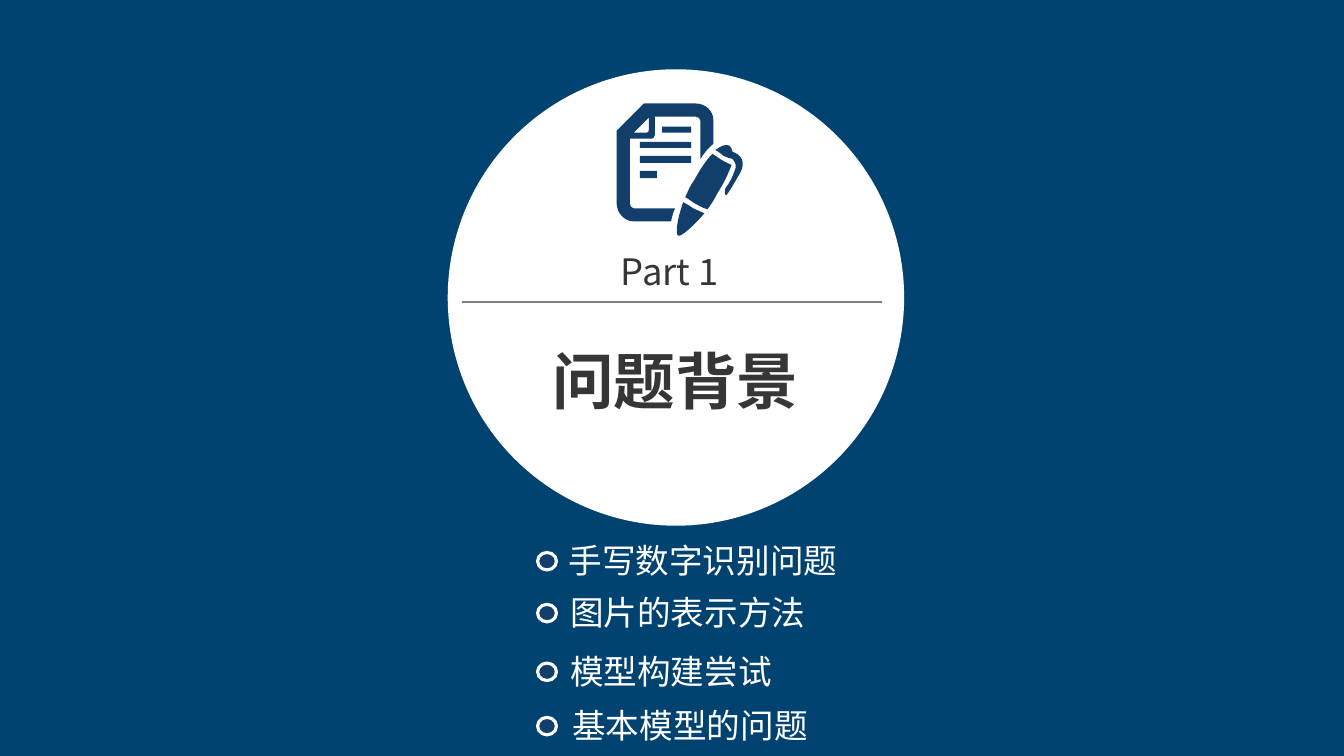
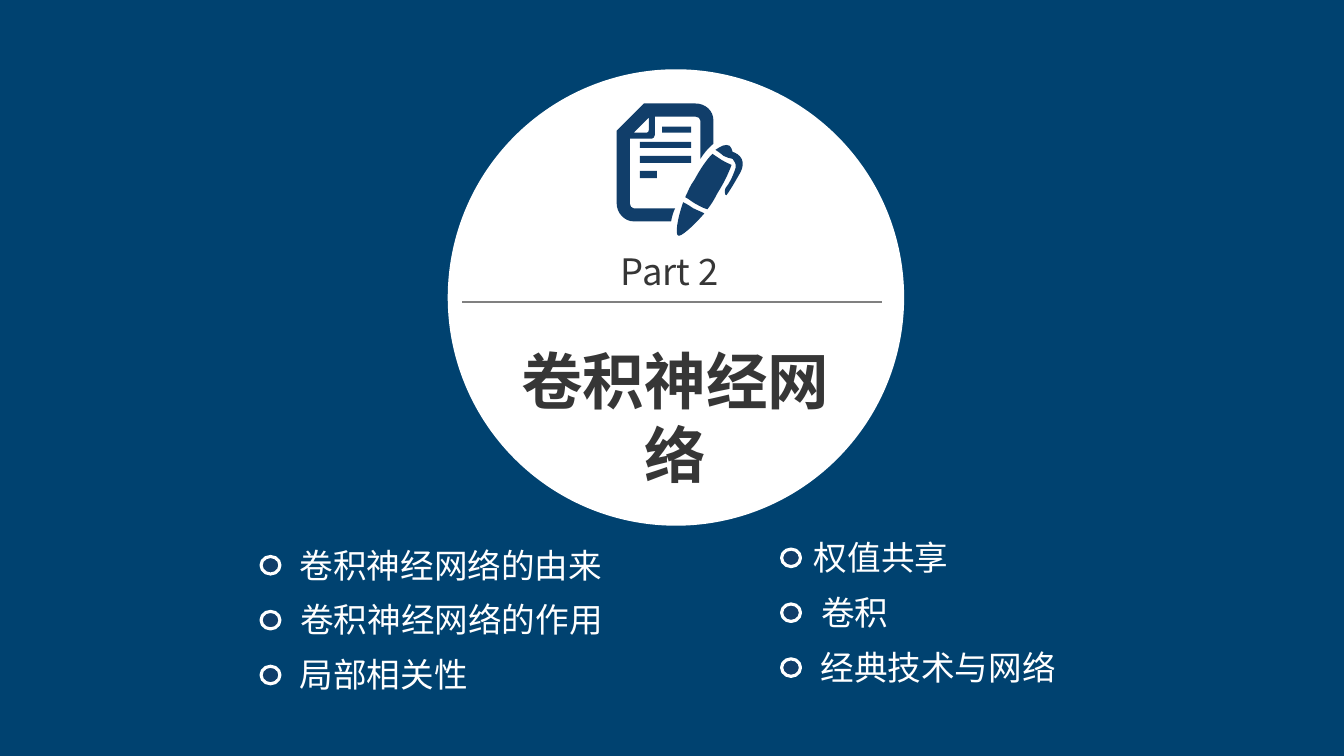
import pptx
import pptx.dml.color
import pptx.enum.shapes
import pptx.enum.text
import pptx.oxml.ns
import pptx.util
from lxml import etree

Pt = pptx.util.Pt
RGB = pptx.dml.color.RGBColor
ALIGN = pptx.enum.text.PP_ALIGN
SHAPE = pptx.enum.shapes.MSO_SHAPE
qn = pptx.oxml.ns.qn

TEAL = RGB(0x00, 0x9E, 0xB0)
VEIL = RGB(0x00, 0x33, 0x66)
NAVY = RGB(0x11, 0x3E, 0x6A)
WHITE = RGB(0xFF, 0xFF, 0xFF)
DARK = RGB(0x36, 0x36, 0x36)
GREY = RGB(0x80, 0x80, 0x80)
FONT = "Noto Sans CJK SC"
WIDE, HIGH = 960, 540

TITLE = {"size": Pt(44), "bold": True, "name": FONT}
PART = {"size": Pt(26), "name": FONT}
ITEM = {"size": Pt(24), "name": FONT}

UNIT = 0.72  # points per icon grid unit


def bar(left, top, right, base):
    return [(left, top), (right, top), (right, base), (left, base)]


# Each outline is a list of corners (x, y) and cubic curves (x1, y1, x2, y2, x, y).
PAPER = [
    (27, 0), (78, 0), (88, 0, 96, 7, 96, 17), (96, 40),
    (90, 45, 87, 49, 83, 55), (83, 17), (83, 15, 81, 13, 78, 13),
    (38, 13), (38, 31), (38, 33, 36, 35, 35, 35), (13, 35), (13, 99),
    (13, 102, 15, 104, 17, 104), (58, 104), (56, 108, 55, 112, 54, 117),
    (17, 117), (8, 117, 0, 109, 0, 99), (0, 27),
]
FOLD = [(17, 29), (30, 29), (31, 29, 32, 28, 32, 26), (32, 14)]
CLIP = [
    (112, 42), (113, 44, 115, 45, 115, 48), (118, 49, 122, 51, 124, 55),
    (126, 59, 125, 64, 123, 68), (119, 75, 114, 84, 109, 91),
    (107, 92, 107, 86, 108, 84), (112, 79, 115, 73, 118, 64),
    (119, 59, 116, 57, 115, 55), (112, 55, 109, 53, 106, 52),
    (104, 50, 101, 48, 98, 46), (104, 42, 108, 40, 112, 42),
]
BARREL = [
    (114, 61), (111, 69, 107, 78, 100, 89), (97, 95, 94, 100, 90, 105),
    (86, 104, 83, 102, 79, 100), (75, 98, 72, 95, 68, 93),
    (71, 87, 73, 81, 77, 76), (83, 65, 89, 56, 95, 50),
    (98, 52, 101, 54, 104, 56), (107, 58, 110, 59, 114, 61),
]
NIB = [
    (87, 109), (75, 123, 63, 133, 61, 131), (58, 130, 60, 115, 66, 98),
    (70, 100, 73, 102, 76, 104), (80, 106, 83, 107, 87, 109),
]
LINES = [bar(45, 23, 74, 29), bar(23, 67, 40, 74), bar(23, 52, 74, 59),
         bar(23, 38, 74, 44)]
ICON = [PAPER, CLIP, BARREL, NIB, *LINES, FOLD]


def bend(shape):
    """Turn the straight steps of the icon into its curves."""
    parts = [part for outline in ICON for part in outline[1:]]
    sides = list(shape._element.iter(qn("a:lnTo")))
    for side, part in zip(sides, parts):
        if len(part) == 6:
            curve = etree.Element(qn("a:cubicBezTo"))
            for x, y in zip(part[::2], part[1::2]):
                etree.SubElement(curve, qn("a:pt"), x=str(x), y=str(y))
            side.getparent().replace(side, curve)


def icon(slide, left, top):
    pen = None
    for outline in ICON:
        start, *rest = [part[-2:] for part in outline]
        if pen is None:
            pen = slide.shapes.build_freeform(*start, scale=Pt(UNIT))
        else:
            pen.move_to(*start)
        pen.add_line_segments(rest, close=True)
    shape = pen.convert_to_shape(Pt(left), Pt(top))
    bend(shape)
    paint(shape, NAVY)


def paint(shape, fill, edge=None):
    shape.shadow.inherit = False
    shape.fill.solid()
    shape.fill.fore_color.rgb = fill
    if edge is None:
        shape.line.fill.background()
    else:
        shape.line.color.rgb = edge
        shape.line.width = Pt(2.25)


def form(slide, kind, place, fill, edge=None):
    shape = slide.shapes.add_shape(kind, *map(Pt, place))
    paint(shape, fill, edge)
    return shape


def veil(deck, slide):
    """Lay a see-through sheet over the master's teal ground."""
    master = deck.slide_master
    ground = master.background.fill
    ground.solid()
    ground.fore_color.rgb = TEAL
    sheet = form(slide, SHAPE.RECTANGLE, (0, 0, WIDE, HIGH), VEIL)._element
    tint = sheet.spPr.find(qn("a:solidFill"))[0]
    etree.SubElement(tint, qn("a:alpha"), val="86000")
    master.shapes._spTree.insert(2, sheet)


def rule(slide, left, right, top):
    line = slide.shapes.add_connector(
        pptx.enum.shapes.MSO_CONNECTOR.STRAIGHT,
        Pt(left), Pt(top), Pt(right), Pt(top))
    line.line.color.rgb = GREY
    line.line.width = Pt(1)
    etree.SubElement(line._element.spPr, qn("a:effectLst"))


def label(slide, text, place, style, color, align=ALIGN.LEFT, frame=None):
    box = slide.shapes.add_textbox(*map(Pt, place)).text_frame
    box.word_wrap = True
    box.auto_size = pptx.enum.text.MSO_AUTO_SIZE.SHAPE_TO_FIT_TEXT
    for name, value in (frame or {}).items():
        setattr(box, name, value)
    para = box.paragraphs[0]
    para.alignment = align
    run = para.add_run()
    run.text = text
    for name, value in style.items():
        setattr(run.font, name, value)
    run.font.color.rgb = color
    east = etree.SubElement(run.font._element, qn("a:ea"))
    east.set("typeface", FONT)


def badge(slide, part, title, height):
    """Draw the white disc with its icon, part number and title."""
    form(slide, SHAPE.OVAL, (319.8, 49.5, 326, 326), WHITE)
    icon(slide, 440.5, 73.9)
    rule(slide, 330.3, 630, 215.7)
    label(slide, title, (358, 241.6, 249.1, height), TITLE, DARK, ALIGN.CENTER)
    bare = dict.fromkeys(
        ("margin_left", "margin_top", "margin_right", "margin_bottom"), 0)
    label(slide, part, (443.5, 178, 73.4, 31.5), PART, DARK,
          frame={**bare, "word_wrap": False})


def topics(slide, left, tops, width, rows):
    """Draw a column of ringed topics; each row is a text and its left edge."""
    for top, (text, edge) in zip(tops, rows):
        form(slide, SHAPE.OVAL, (left, top, 13.5, 12.5), NAVY, WHITE)
        label(slide, text, (edge, top - 12.2, width, 36.3), ITEM, WHITE)


def steps(top, count, gap=39.2):
    return [top + gap * k for k in range(count)]


def main():
    deck = pptx.Presentation()
    deck.slide_width, deck.slide_height = Pt(WIDE), Pt(HIGH)
    blank = deck.slide_layouts[6]

    slide = deck.slides.add_slide(blank)
    veil(deck, slide)
    badge(slide, "Part 1", "问题背景", 60.5)
    topics(slide, 384, (394.6, 431.7, 473.6, 512.4), 225.4, [
        ("手写数字识别问题", 399), ("图片的表示方法", 400.2),
        ("模型构建尝试", 400.2), ("基本模型的问题", 401.8)])

    slide = deck.slides.add_slide(blank)
    badge(slide, "Part 2", "卷积神经网络", 113.8)
    topics(slide, 186.5, steps(397.5, 3), 245.5, [
        ("卷积神经网络的由来", 207), ("卷积神经网络的作用", 207.4),
        ("局部相关性", 207)])
    topics(slide, 558.3, steps(392.2, 3), 245.5, [
        ("权值共享", 574.2), ("卷积", 579.4), ("经典技术与网络", 579)])

    deck.save("out.pptx")


if __name__ == "__main__":
    main()
